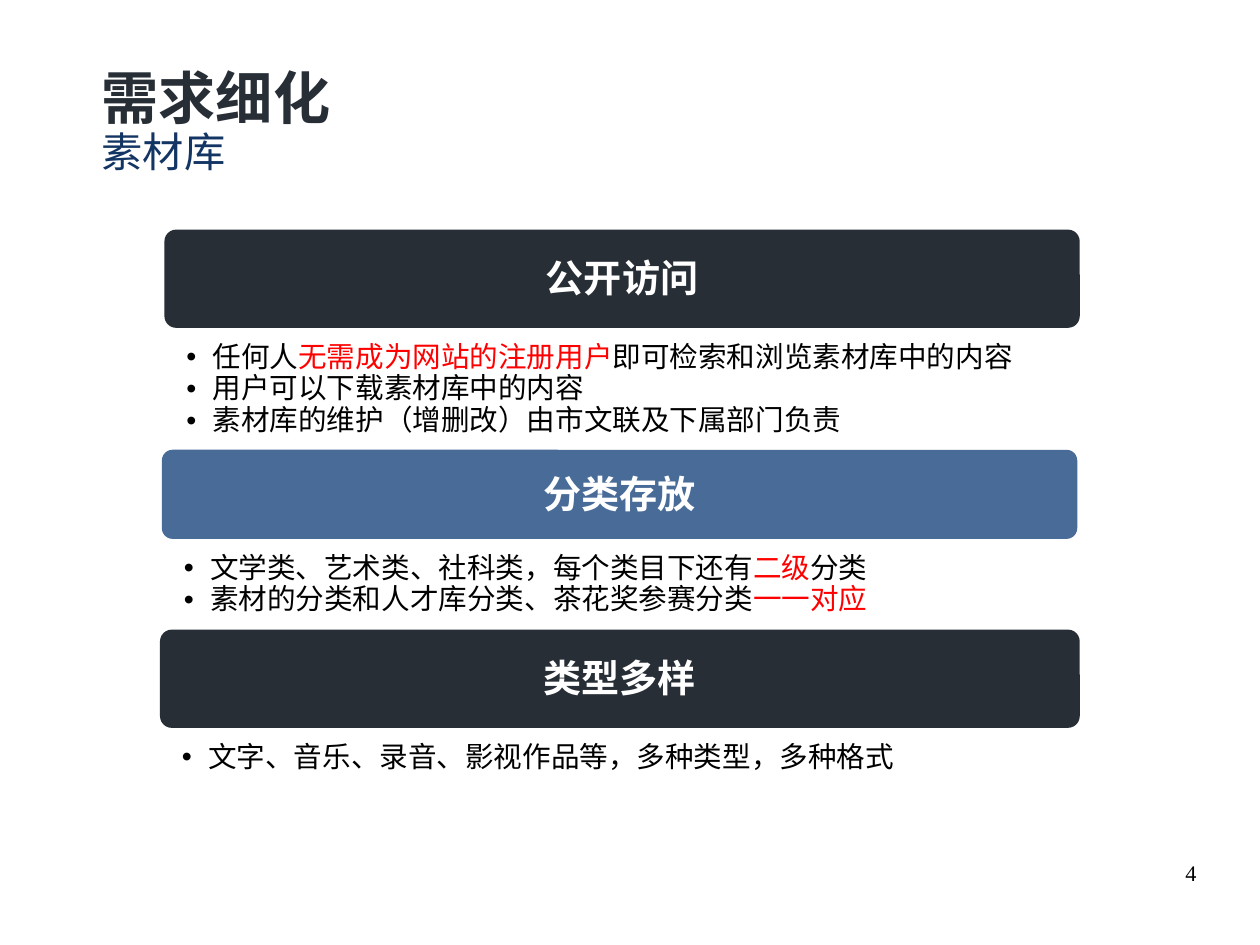
"""Build the slide on refining the requirements of the material library."""
from lxml import etree
from pptx import Presentation
from pptx import util as u
from pptx.dml.color import RGBColor
from pptx.enum import shapes, text
from pptx.oxml.ns import qn

WIDTH, HEIGHT = u.Cm(28), u.Cm(21)
DARK, BLUE, NAVY = "272E36", "496B98", "133563"
WHITE, BLACK, RED = "FFFFFF", "000000", "FF0000"
LIST_INDENT, LIST_GAP = 0.85, 0.85
ROW_HEIGHT, LIST_PADDING = 3.39, 1.21

# left, top, width, height in percent of the slide; "|" encloses red words
SECTIONS = [
    ("公开访问", DARK, (13.05, 24.3, 72.65, 10.4), [
        "任何人|无需成为网站的注册用户|即可检索和浏览素材库中的内容",
        "用户可以下载素材库中的内容",
        "素材库的维护（增删改）由市文联及下属部门负责"]),
    ("分类存放", BLUE, (12.85, 47.6, 72.65, 9.43), [
        "文学类、艺术类、社科类，每个类目下还有|二级|分类",
        "素材的分类和人才库分类、茶花奖参赛分类|一一对应|"]),
    ("类型多样", DARK, (12.7, 66.63, 73, 10.4), [
        "文字、音乐、录音、影视作品等，多种类型，多种格式"]),
]


def color(value):
    """Turn a hex string into a colour."""
    return RGBColor.from_string(value)


def place(left, top, width, height):
    """Turn percentages of the slide into lengths."""
    return [round(share * side / 100) for share, side in
            ((left, WIDTH), (top, HEIGHT), (width, WIDTH), (height, HEIGHT))]


def set_margins(frame, left, top, right, bottom):
    """Set the wrapping and the inner margins of a text frame in inches."""
    frame.word_wrap = True
    frame.margin_left, frame.margin_top = u.Inches(left), u.Inches(top)
    frame.margin_right, frame.margin_bottom = u.Inches(right), u.Inches(bottom)


def format_runs(paragraph, size, ink, font="Arial", bold=False, spacing=0.93):
    """Format the runs of a paragraph and its line spacing."""
    paragraph.line_spacing = spacing
    for run in paragraph.runs:
        run.font.name, run.font.size, run.font.bold = font, u.Pt(size), bold
        run.font.color.rgb = color(ink)


def add_text(slide, box, lines, margins=(0.1, 0.05, 0.1, 0.05)):
    """Add a text box and return its paragraphs."""
    frame = slide.shapes.add_textbox(*place(*box)).text_frame
    set_margins(frame, *margins)
    frame.text = "\n".join(lines)
    return frame.paragraphs


def add_bar(slide, box, title, fill):
    """Add a rounded heading bar."""
    shape = slide.shapes.add_shape(
        shapes.MSO_SHAPE.ROUNDED_RECTANGLE, *place(*box))
    shape.adjustments[0] = 0.12
    shape.shadow.inherit = False
    shape.fill.solid()
    shape.fill.fore_color.rgb = color(fill)
    shape.line.fill.background()
    frame = shape.text_frame
    set_margins(frame, 0.1, 0.07, 0.1, 0.05)
    frame.vertical_anchor = text.MSO_ANCHOR.MIDDLE
    frame.text = title
    frame.paragraphs[0].alignment = text.PP_ALIGN.CENTER
    format_runs(frame.paragraphs[0], 24, WHITE, bold=True)


def add_bullet(paragraph):
    """Give a paragraph a black bullet with a hanging indent."""
    properties = paragraph._p.get_or_add_pPr()
    indent = u.Inches(0.23)
    properties.set("marL", str(indent))
    properties.set("indent", str(-indent))
    bullet_color = etree.SubElement(properties, qn("a:buClr"))
    etree.SubElement(bullet_color, qn("a:srgbClr"), val=BLACK)
    etree.SubElement(properties, qn("a:buFont"), typeface="Arial")
    etree.SubElement(properties, qn("a:buChar"), char="•")


def add_list(slide, box, items):
    """Add a bulleted list whose enclosed words are red."""
    for paragraph, item in zip(add_text(slide, box, items), items):
        add_bullet(paragraph)
        parts = item.split("|")
        paragraph.text = parts[0]
        for part in filter(None, parts[1:]):
            paragraph.add_run().text = part
        format_runs(paragraph, 18, BLACK)
        for run in paragraph.runs[1::2]:
            run.font.color.rgb = color(RED)


def add_section(slide, title, fill, box, items):
    """Add a heading bar with its list below."""
    left, top, width, height = box
    add_bar(slide, box, title, fill)
    add_list(slide, (left + LIST_INDENT, top + height + LIST_GAP, 72.05,
                     ROW_HEIGHT * len(items) + LIST_PADDING), items)


def main():
    """Build and save the presentation."""
    presentation = Presentation()
    presentation.slide_width = WIDTH
    presentation.slide_height = HEIGHT
    slide = presentation.slides.add_slide(presentation.slide_layouts[6])
    title, subtitle = add_text(
        slide, (7.17, 4.72, 86.84, 14.63), ["需求细化", "素材库"])
    format_runs(title, 36, DARK, "Montserrat", True, 1.18)
    format_runs(subtitle, 26, NAVY)
    for section in SECTIONS:
        add_section(slide, *section)
    number, = add_text(slide, (71.65, 91.1, 23.32, 6.89), ["4"], (0, 0, 0, 0))
    number.alignment = text.PP_ALIGN.RIGHT
    format_runs(number, 14, BLACK, "Times New Roman", spacing=0.95)
    presentation.save("out.pptx")


if __name__ == "__main__":
    main()
